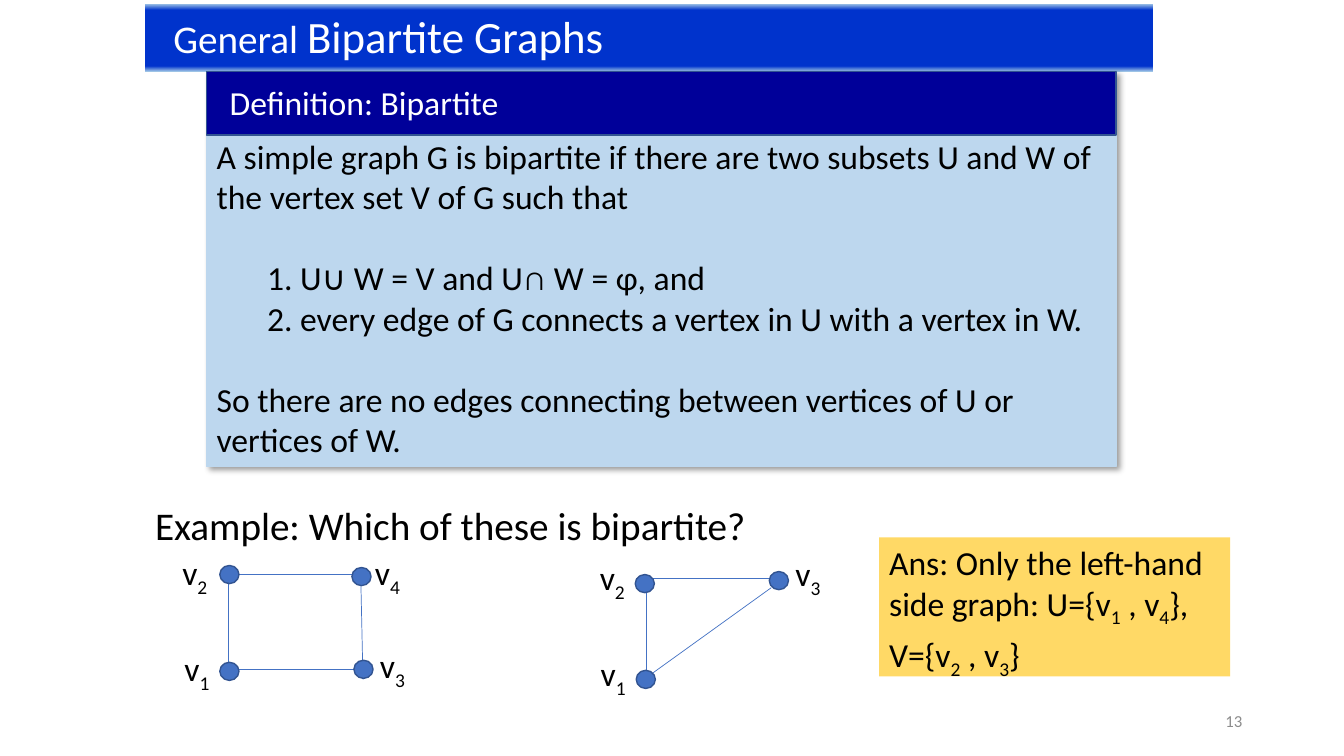
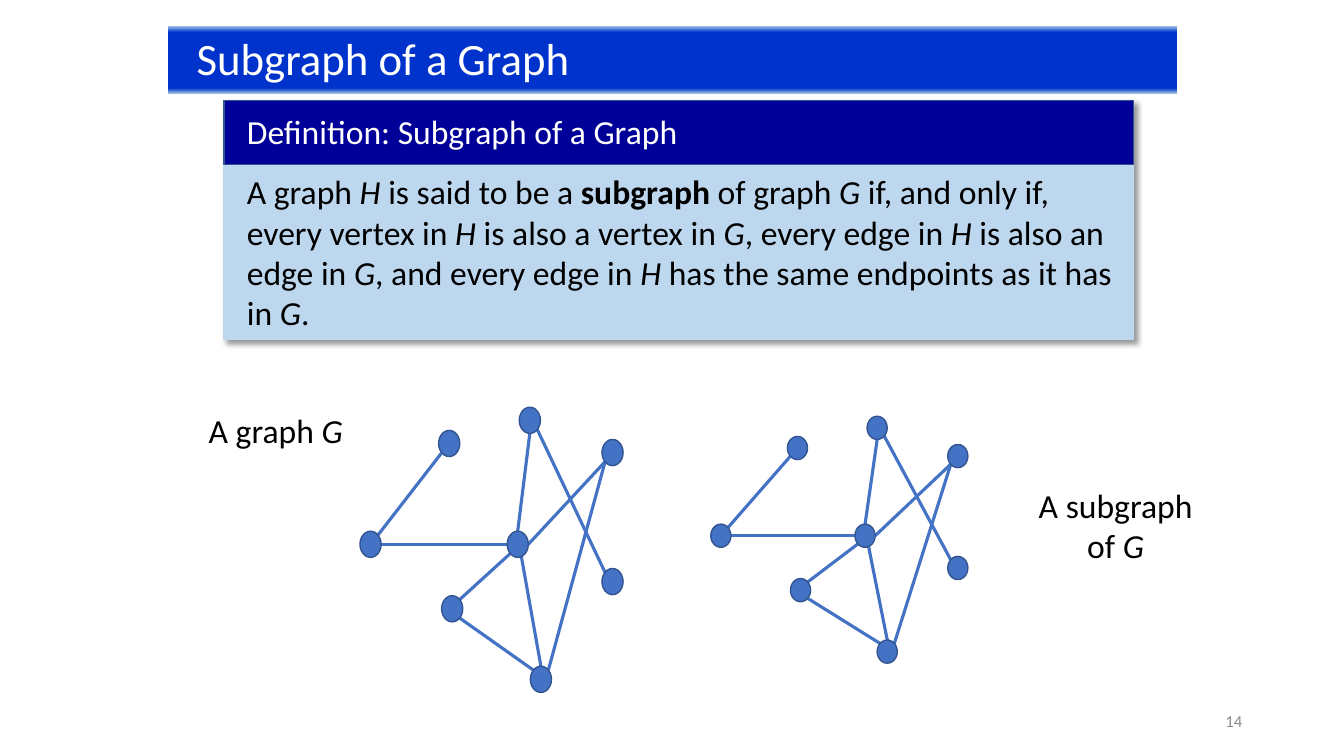
from dataclasses import dataclass

from lxml.etree import SubElement
from pptx import Presentation
from pptx.dml.color import RGBColor
from pptx.enum.shapes import MSO_CONNECTOR, MSO_SHAPE
from pptx.enum.text import MSO_ANCHOR, PP_ALIGN
from pptx.oxml.ns import qn
from pptx.util import Pt

PX = 9144  # 100 px to the inch


@dataclass(frozen=True)
class Theme:
    font: str = "Calibri"
    black: str = "000000"
    white: str = "FFFFFF"
    grey: str = "8C8C8C"
    title_blue: str = "0033CC"
    title_edge: str = "9DC3E6"
    header: str = "000099"
    panel: str = "BDD7EE"
    node: str = "4472C4"
    outline: str = "325491"
    answer: str = "FFD966"
    title: int = 32
    sub_title: int = 28
    body: int = 24
    number: int = 12


T = Theme()


def add_text(s, box, paras, size=T.body, color=T.black, align=PP_ALIGN.LEFT,
             anchor=MSO_ANCHOR.TOP, left=10, before=None, after=0, indent=None):
    """Paragraphs are lists of runs: a string, or (string, "b" | "i" | "sub" | size)."""
    sp = s.shapes.add_textbox(*[v * PX for v in box])
    tf = sp.text_frame
    tf.word_wrap = True
    tf.vertical_anchor = anchor
    tf.margin_left = left * PX
    for i, runs in enumerate(paras):
        p = tf.paragraphs[0] if i == 0 else tf.add_paragraph()
        p.alignment = align
        p.space_before = Pt((before or {}).get(i, 0))
        p.space_after = Pt(after)
        if indent and i in indent:
            p._p.get_or_add_pPr().set("marL", str(indent[i] * PX))
        for run in runs:
            text, style = (run, None) if isinstance(run, str) else run
            r = p.add_run()
            r.text = text
            r.font.name = T.font
            r.font.size = Pt(style if isinstance(style, int) else size)
            r.font.color.rgb = RGBColor.from_string(color)
            if style == "b":
                r.font.bold = True
            elif style == "i":
                r.font.italic = True
            elif style == "sub":
                r._r.get_or_add_rPr().set("baseline", "-25000")
    return sp


def add_shape(s, kind, box, fill, line):
    sp = s.shapes.add_shape(kind, *[v * PX for v in box])
    sp.shadow.inherit = False
    sp.fill.solid()
    sp.fill.fore_color.rgb = RGBColor.from_string(fill)
    sp.line.color.rgb = RGBColor.from_string(line)
    sp.line.width = Pt(1)
    return sp


prs = Presentation()
prs.slide_width, prs.slide_height = 1333 * PX, 750 * PX

# Slide contents: title band, definition panel, body text
pages = [
    dict(number="13", band=(144, 4), title=[("General ", T.sub_title), "Bipartite Graphs"],
         panel=(205, 71, 902, 392), header="Definition: Bipartite",
         body_box=(205, 130, 902, 333),
         body=[["A simple graph G is bipartite if there are two subsets U and W of"],
               ["the vertex set V of G such that"],
               ["1. U∪ W = V and U∩ W = φ, and"],
               ["2. every edge of G connects a vertex in U with a vertex in W."],
               ["So there are no edges connecting between vertices of U or vertices of W."]],
         body_format=dict(before={2: 29, 4: 29}, indent={2: 50, 3: 50})),
    dict(number="14", band=(167, 26), title=["Subgraph of a Graph"],
         panel=(222, 100, 902, 237), header="Definition: Subgraph of a Graph",
         body_box=(235, 165, 890, 172),
         body=[["A graph ", ("H ", "i"), "is said to be a ", ("subgraph", "b"),
                " of graph ", ("G", "i"), " if, and only if, every vertex in ", ("H", "i"),
                " is also a vertex in ", ("G", "i"), ", every edge in ", ("H", "i"),
                " is also an edge in ", ("G", "i"), ", and every edge in ", ("H", "i"),
                " has the same endpoints as it has in ", ("G", "i"), "."]],
         body_format=dict(after=6)),
]

slides = []
for page in pages:
    s = prs.slides.add_slide(prs.slide_layouts[6])
    slides.append(s)

    # Slide number
    add_text(s, (942, 695, 300, 40), [[page["number"]]], size=T.number, color=T.grey,
             align=PP_ALIGN.RIGHT, anchor=MSO_ANCHOR.MIDDLE)

    # Title band with light upper and lower edges
    band = add_text(s, (*page["band"], 1000, 67), [page["title"]], size=T.title,
                    color=T.white, left=28)
    band.fill.gradient()
    band.fill.gradient_angle = 270
    stops = band._element.spPr.find(qn("a:gradFill")).find(qn("a:gsLst"))
    for stop in list(stops):
        stops.remove(stop)
    for pos, color in [(0, T.title_edge), (9, T.title_blue),
                       (92, T.title_blue), (100, T.title_edge)]:
        stop = SubElement(stops, qn("a:gs"), pos=str(pos * 1000))
        SubElement(stop, qn("a:srgbClr"), val=color)

    # Definition panel with a soft shadow
    x, y, w, h = page["panel"]
    panel = add_shape(s, MSO_SHAPE.RECTANGLE, page["panel"], T.panel, T.panel)
    shadow = SubElement(panel._element.spPr.find(qn("a:effectLst")), qn("a:outerShdw"),
                        blurRad=str(Pt(4)), dist=str(Pt(3)), dir="2700000",
                        algn="tl", rotWithShape="0")
    shade = SubElement(shadow, qn("a:srgbClr"), val=T.black)
    SubElement(shade, qn("a:alpha"), val="40000")
    add_shape(s, MSO_SHAPE.RECTANGLE, (x, y, w, 63), T.header, T.outline)
    add_text(s, (x + 13, y + 5, 688, 50), [[page["header"]]], color=T.white)
    add_text(s, page["body_box"], page["body"], **page["body_format"])

bipartite, subgraph = slides

# Graphs: slide, node size, line width, node corners, lines
graphs = [
    (bipartite, (19, 18), 0.5,
     [(218, 657), (218, 561), (351, 655), (349, 563)],
     [(227, 577, 227, 664), (236, 664, 368, 664), (218, 570, 349, 570),
      (360, 674, 358, 581)]),
    (bipartite, (19, 18), 0.5,
     [(631, 665), (630, 570), (763, 567)],
     [(641, 581, 641, 668), (631, 574, 763, 574), (765, 583, 647, 668)]),
]

# The graph and its subgraph join the same nodes at the same points of the ovals
sites = {"top": (0.5, 0), "bottom": (0.5, 1), "left": (0, 0.5), "right": (1, 0.5),
         "upper left": (0.15, 0.15), "upper right": (0.85, 0.15),
         "lower left": (0.15, 0.85), "lower right": (0.85, 0.85), "inner": (0.63, 0.78)}
edges = [(2, "upper right", 0, "lower left"), (2, "right", 4, "left"),
         (3, "lower right", 6, "upper left"), (1, "bottom", 4, "top"),
         (1, "lower right", 5, "upper left"), (7, "lower left", 4, "right"),
         (4, "inner", 6, "top"), (4, "lower left", 3, "upper right"),
         (7, "lower left", 6, "upper right")]
for size, nodes in [
    ((21, 26), [(435, 427), (515, 404), (357, 527), (438, 591),
                (503, 527), (597, 564), (526, 661), (597, 436)]),
    ((20, 23), [(781, 433), (860, 413), (705, 520), (784, 574),
                (848, 520), (940, 552), (870, 635), (940, 441)]),
]:
    lines = [[nodes[n][k] + sites[site][k] * size[k]
              for n, site in ((a, a_site), (b, b_site)) for k in (0, 1)]
             for a, a_site, b, b_site in edges]
    graphs.append((subgraph, size, 2.25, nodes, lines))

for s, size, width, nodes, lines in graphs:
    for ends in lines:
        c = s.shapes.add_connector(MSO_CONNECTOR.STRAIGHT, *[round(v * PX) for v in ends])
        c.line.color.rgb = RGBColor.from_string(T.node)
        c.line.width = Pt(width)
        SubElement(c._element.spPr, qn("a:effectLst"))
    for node in nodes:
        add_shape(s, MSO_SHAPE.OVAL, (*node, *size), T.node, T.outline)

# Example question, vertex names and answer
add_text(bipartite, (144, 492, 910, 57), [["Example: Which of these is bipartite?"]],
         size=T.sub_title)
for x, y, index in [(173, 638, "1"), (171, 543, "2"), (367, 635, "3"), (362, 543, "4"),
                    (586, 643, "1"), (585, 548, "2"), (779, 544, "3")]:
    add_text(bipartite, (x, y, 75, 50), [["v", (index, "sub")]])
answer = add_text(bipartite, (872, 533, 348, 138),
                  [["Ans: Only the left-hand side graph: U={v", ("1", "sub"), " , v",
                    ("4", "sub"), "}, V={v", ("2", "sub"), " , v", ("3", "sub"), "}",
                    (" ", T.sub_title)]])
answer.fill.solid()
answer.fill.fore_color.rgb = RGBColor.from_string(T.answer)

# Graph captions
for box, caption in [((167, 402, 213, 67), "A graph "),
                     ((1013, 476, 187, 91), "A subgraph of ")]:
    add_text(subgraph, box, [[caption, ("G", "i")]], align=PP_ALIGN.CENTER)

prs.save("out.pptx")
